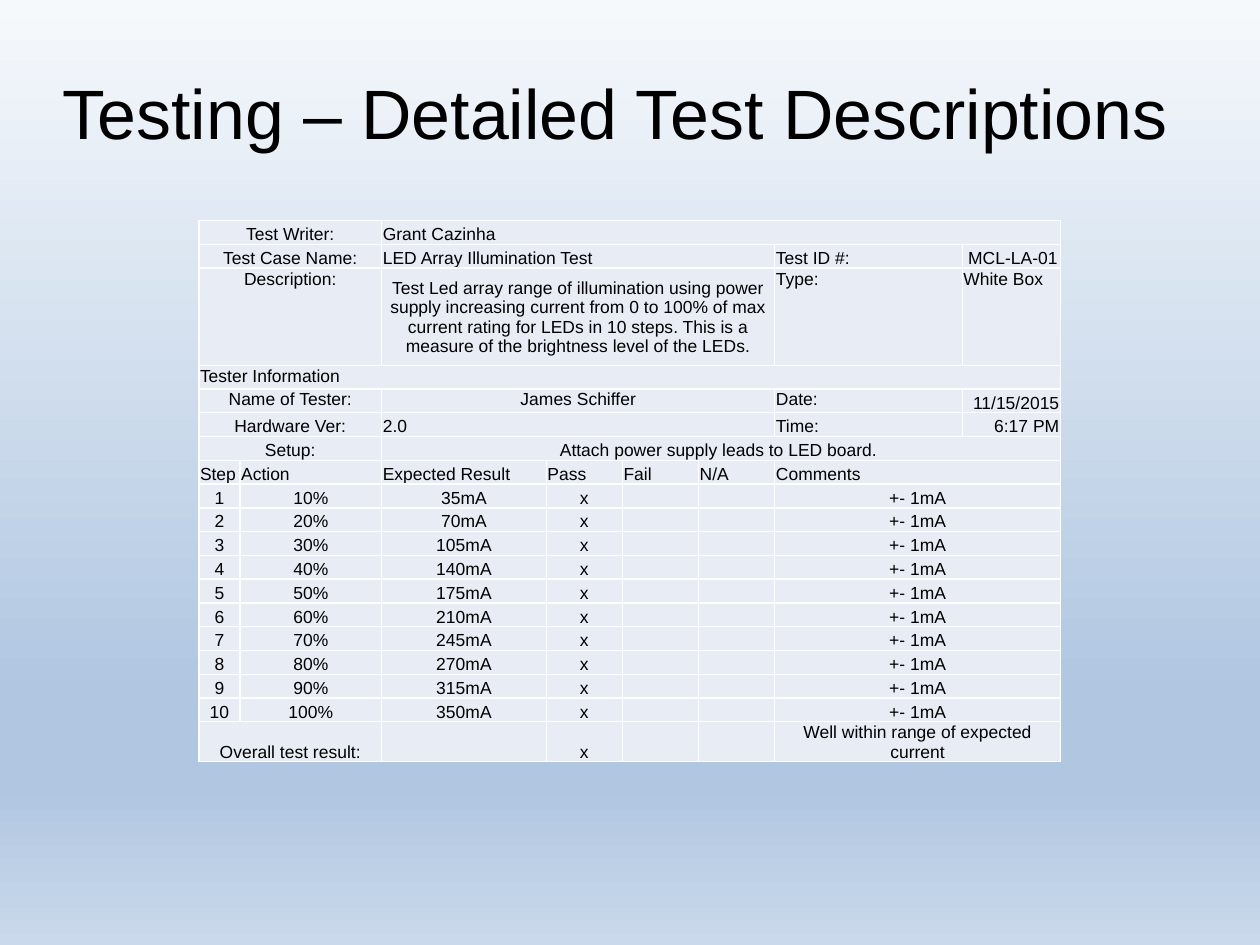
from lxml.etree import SubElement
from pptx import Presentation
from pptx.dml.color import RGBColor
from pptx.enum.text import MSO_ANCHOR, MSO_AUTO_SIZE, PP_ALIGN
from pptx.oxml.ns import qn
from pptx.util import Inches, Pt

COLORS = {"text": "000000", "cell": "E8ECF4", "border": "FFFFFF",
          "sky": "F6F9FC", "blue": "B0C6E1", "haze": "CAD9EB"}
BACKGROUND_STOPS = [(0, "sky"), (74, "blue"), (83, "blue"), (100, "haze")]
ALIGNMENTS = {"l": PP_ALIGN.LEFT, "c": PP_ALIGN.CENTER, "r": PP_ALIGN.RIGHT}
ANCHORS = {"t": MSO_ANCHOR.TOP, "m": MSO_ANCHOR.MIDDLE, "b": MSO_ANCHOR.BOTTOM}


def write_text(text_frame, text, size=11, font="Arial", color="text",
               align="l", line_spacing=None):
    paragraph = text_frame.paragraphs[0]
    paragraph.alignment = ALIGNMENTS[align]
    if line_spacing:
        paragraph.line_spacing = line_spacing
    if text:
        run = paragraph.add_run()
        run.text = text
        run.font.size = Pt(size)
        run.font.name = font
        run.font.color.rgb = RGBColor.from_string(COLORS[color])
    else:
        SubElement(paragraph._p, qn("a:endParaRPr"), sz=str(size * 100))


class SlideBuilder:
    def __init__(self, slide):
        self.slide = slide

    def background(self, stops, angle):
        fill = self.slide.background.fill
        fill.gradient()
        fill.gradient_angle = angle
        stop_list = self.slide.element.find(".//" + qn("a:gsLst"))
        stop_list.clear()
        for position, color in stops:
            stop = SubElement(stop_list, qn("a:gs"), pos=str(position * 1000))
            SubElement(stop, qn("a:srgbClr"), val=COLORS[color])

    def title(self, text, left, top, width, height):
        title = self.slide.shapes.title
        title.left, title.top = Inches(left), Inches(top)
        title.width, title.height = Inches(width), Inches(height)
        frame = title.text_frame
        frame.auto_size = MSO_AUTO_SIZE.NONE
        frame.word_wrap = True
        frame.vertical_anchor = MSO_ANCHOR.MIDDLE
        frame.margin_left = frame.margin_right = 0
        frame.margin_top = frame.margin_bottom = 0
        write_text(frame, text, size=44, line_spacing=0.9)

    def style_cell(self, cell):
        cell.margin_left = cell.margin_right = cell.margin_top = Inches(0.01)
        cell.margin_bottom = 0
        properties = cell._tc.get_or_add_tcPr()
        for side in ("lnL", "lnR", "lnT", "lnB"):
            line = SubElement(properties, qn(f"a:{side}"), w=str(Pt(1)))
            line_fill = SubElement(line, qn("a:solidFill"))
            SubElement(line_fill, qn("a:srgbClr"), val=COLORS["border"])
        cell.fill.solid()
        cell.fill.fore_color.rgb = RGBColor.from_string(COLORS["cell"])

    def table(self, rows, left, top, column_widths, row_heights):
        table = self.slide.shapes.add_table(
            len(rows), len(column_widths), Inches(left), Inches(top),
            Inches(sum(column_widths)), Inches(sum(row_heights))).table
        table.first_row = table.horz_banding = False
        for column, width in zip(table.columns, column_widths):
            column.width = Inches(width)
        for row, height in zip(table.rows, row_heights):
            row.height = Inches(height)
        for cell in table.iter_cells():
            self.style_cell(cell)
        for row_index, entries in enumerate(rows):
            column_index = 0
            for text, span, align, anchor in entries:
                cell = table.cell(row_index, column_index)
                if span > 1:
                    cell.merge(table.cell(row_index, column_index + span - 1))
                cell.vertical_anchor = ANCHORS[anchor]
                write_text(cell.text_frame, text, align=align)
                column_index += span


def entry(text, span=1, align="l", anchor="b"):
    return text, span, align, anchor


def label(text, anchor="b"):
    return entry(text, 2, "c", anchor)


def result_cells(expected, comment):
    return [entry(expected, align="c"), entry("x", align="c"), entry(""), entry(""),
            entry(comment, 2, "c")]


DESCRIPTION = ("Test Led array range of illumination using power supply increasing current "
               "from 0 to 100% of max current rating for LEDs in 10 steps. "
               "This is a measure of the brightness level of the LEDs.")
HEADINGS = ["Step", "Action", "Expected Result", "Pass", "Fail", "N/A"]
CURRENTS = [35, 70, 105, 140, 175, 210, 245, 270, 315, 350]

test_rows = [
    [label("Test Writer:"), entry("Grant Cazinha", 6)],
    [label("Test Case Name:"), entry("LED Array Illumination Test", 4),
     entry("Test ID #:"), entry("\u00a0MCL-LA-01")],
    [label("Description:", "t"), entry(DESCRIPTION, 4, "c", "m"),
     entry("Type:", anchor="t"), entry("White Box", anchor="t")],
    [entry("Tester Information", 8, anchor="t")],
    [label("Name of Tester:", "t"), entry("James Schiffer", 4, "c", "t"),
     entry("Date:", anchor="t"), entry("11/15/2015", align="r")],
    [label("Hardware Ver:"), entry("2.0", 4), entry("Time:"), entry("6:17 PM", align="r")],
    [label("Setup:"), entry("Attach power supply leads to LED board. ", 6, "c")],
    [entry(heading) for heading in HEADINGS] + [entry("Comments", 2)],
]
for step, current in enumerate(CURRENTS, 1):
    test_rows.append([entry(str(step), align="c"), entry(f"{step * 10}%", align="c")]
                     + result_cells(f"{current}mA", "+- 1mA"))
test_rows.append([label("Overall test result:")]
                 + result_cells("", "Well within range of expected current"))

row_heights = [3.54 / 17] * len(test_rows)
row_heights[2] = 0.85
row_heights[-1] = 0.35
mark_width = 2 / 3

presentation = Presentation()
presentation.slide_width = Pt(793.75)
presentation.slide_height = Pt(595.25)
builder = SlideBuilder(presentation.slides.add_slide(presentation.slide_layouts[5]))
builder.background(BACKGROUND_STOPS, 270)
builder.title("Testing – Detailed Test Descriptions", 0.55, 0.33, 9.92, 1.38)
builder.table(test_rows, 1.74, 1.93,
              [0.36, 1.24, 1.44] + [mark_width] * 3 + [1.64, 0.86], row_heights)
presentation.save("out.pptx")
